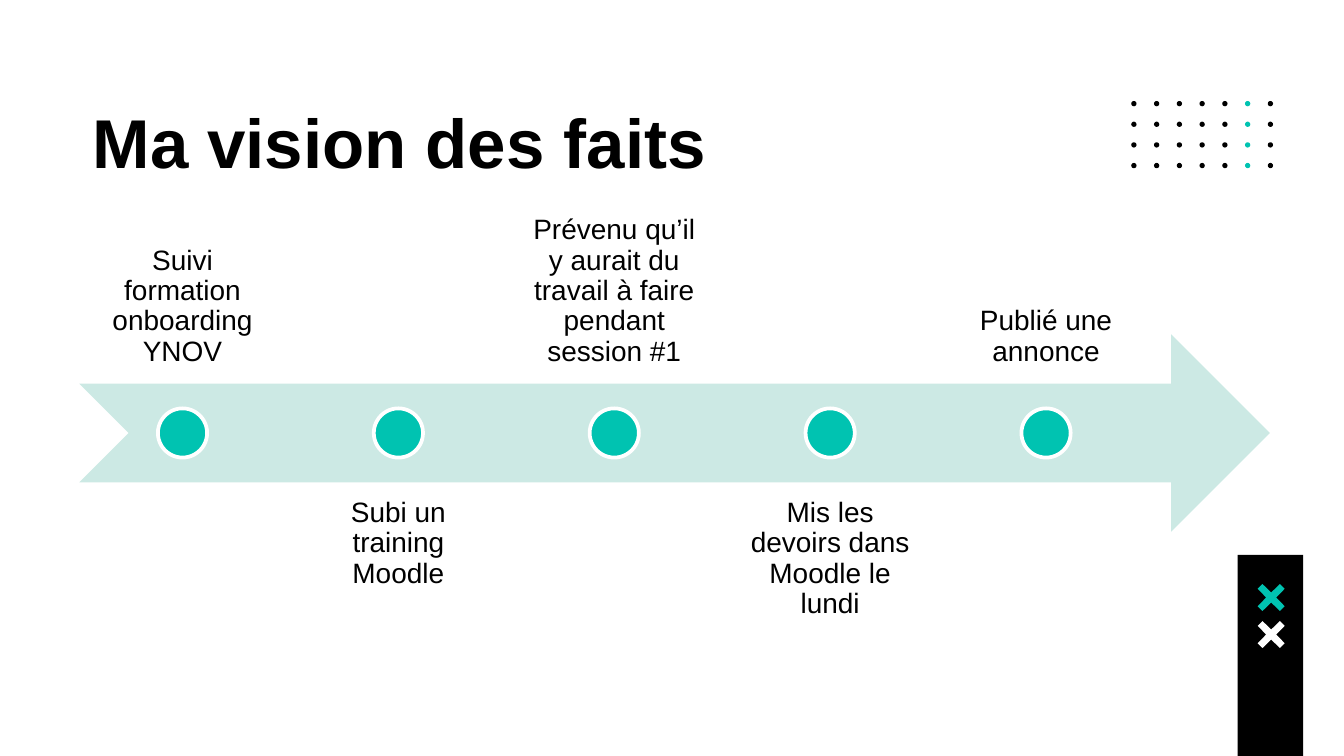
"""Build a slide with a five-step timeline on a wide arrow."""
from dataclasses import dataclass
from itertools import product

from pptx import Presentation
from pptx.dml.color import RGBColor
from pptx.enum.shapes import MSO_SHAPE
from pptx.enum.text import MSO_ANCHOR, PP_ALIGN
from pptx.shapes.autoshape import Shape
from pptx.slide import Slide
from pptx.text.text import TextFrame
from pptx.util import Cm, Pt

BLACK, WHITE, TEAL, PALE = "000000", "FFFFFF", "00C3B1", "CCE9E4"
FONT = "Arial"


@dataclass
class Box:
    left: float
    top: float
    width: float
    height: float

    def place(self) -> tuple:
        return Cm(self.left), Cm(self.top), Cm(self.width), Cm(self.height)


@dataclass
class Step:
    text: str
    above: bool


STEPS = [
    Step("Suivi formation onboarding YNOV", True),
    Step("Subi un training Moodle", False),
    Step("Prévenu qu’il y aurait du travail à faire pendant session #1", True),
    Step("Mis les devoirs dans Moodle le lundi", False),
    Step("Publié une annonce", True),
]


def color(code: str) -> RGBColor:
    return RGBColor.from_string(code)


def paint(shape: Shape, fill: str) -> None:
    shape.shadow.inherit = False
    shape.fill.solid()
    shape.fill.fore_color.rgb = color(fill)
    shape.line.fill.background()


def draw(slide: Slide, kind: MSO_SHAPE, box: Box, fill: str) -> Shape:
    shape = slide.shapes.add_shape(kind, *box.place())
    paint(shape, fill)
    return shape


def cross(slide: Slide, left: float, top: float, fill: str) -> None:
    size, arm, notch = 0.51, 0.09, 0.16
    mid, far, end = size / 2, size - arm, size - notch
    path = [(arm, 0), (0, arm), (notch, mid), (0, far), (arm, size),
            (mid, end), (far, size), (size, far), (end, mid),
            (size, arm), (far, 0), (mid, notch)]
    points = [(Cm(left + x), Cm(top + y)) for x, y in path]
    maker = slide.shapes.build_freeform(*points[0])
    maker.add_line_segments(points[1:], close=True)
    paint(maker.convert_to_shape(), fill)


def write(frame: TextFrame, text: str, size: int, bold: bool,
          align: PP_ALIGN, pad: float, space: float) -> None:
    frame.word_wrap = True
    frame.margin_left = frame.margin_right = Cm(pad)
    frame.margin_top = frame.margin_bottom = Cm(pad)
    line = frame.paragraphs[0]
    line.alignment = align
    line.line_spacing = space
    run = line.add_run()
    run.text = text
    font = run.font
    font.name, font.size, font.bold = FONT, Pt(size), bold
    font.color.rgb = color(BLACK)


def title(slide: Slide, text: str) -> None:
    head = slide.shapes.title
    head.left, head.top, head.width, head.height = Box(1.5, 1.5, 22.5, 2).place()
    frame = head.text_frame
    write(frame, text, 37, True, PP_ALIGN.LEFT, 0.25, 1.0)
    frame.margin_top = Cm(0.38)
    frame.vertical_anchor = MSO_ANCHOR.TOP


def decor(slide: Slide) -> None:
    for row, col in product(range(4), range(7)):
        box = Box(21.38 + 0.43 * col, 1.91 + 0.39 * row, 0.1, 0.1)
        draw(slide, MSO_SHAPE.OVAL, box, TEAL if col == 5 else BLACK)
    draw(slide, MSO_SHAPE.RECTANGLE, Box(23.39, 10.49, 1.24, 3.8), BLACK)
    cross(slide, 23.77, 11.04, TEAL)
    cross(slide, 23.77, 11.74, WHITE)


def timeline(slide: Slide) -> None:
    draw(slide, MSO_SHAPE.NOTCHED_RIGHT_ARROW, Box(1.5, 6.32, 22.5, 3.73), PALE)
    width, dot = 3.9, 0.93
    for index, step in enumerate(STEPS):
        left = 1.5 + 4.08 * index
        box = Box(left, 3.51 if step.above else 9.12, width, 3.73)
        frame = slide.shapes.add_textbox(*box.place()).text_frame
        write(frame, step.text, 15, False, PP_ALIGN.CENTER, 0.3, 0.9)
        frame.vertical_anchor = MSO_ANCHOR.BOTTOM if step.above else MSO_ANCHOR.TOP
        spot = Box(left + (width - dot) / 2, 7.72, dot, dot)
        mark = draw(slide, MSO_SHAPE.OVAL, spot, TEAL)
        mark.line.color.rgb = color(WHITE)
        mark.line.width = Pt(2)


def main() -> None:
    deck = Presentation()
    deck.slide_width, deck.slide_height = Cm(25.4), Cm(14.29)
    slide = deck.slides.add_slide(deck.slide_layouts[5])
    decor(slide)
    title(slide, "Ma vision des faits")
    timeline(slide)
    deck.save("out.pptx")


if __name__ == "__main__":
    main()
